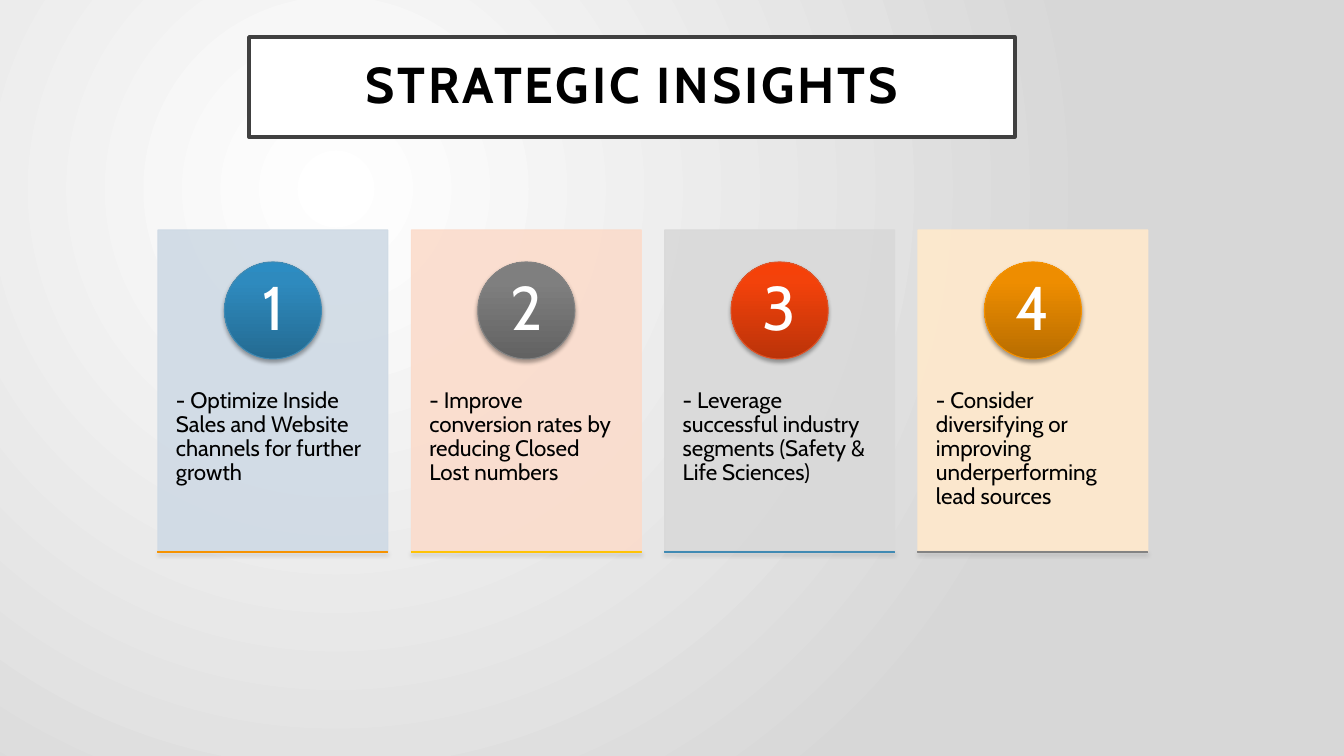
"""Build the Strategic Insights slide with four numbered cards."""
from dataclasses import dataclass

from lxml import etree
from pptx import Presentation
from pptx.dml.color import RGBColor
from pptx.enum.shapes import MSO_SHAPE
from pptx.enum.text import MSO_ANCHOR, PP_ALIGN
from pptx.oxml import parse_xml
from pptx.oxml.ns import nsdecls, qn
from pptx.util import Emu, Pt

RECTANGLE, OVAL = MSO_SHAPE.RECTANGLE, MSO_SHAPE.OVAL
TOP, MIDDLE = MSO_ANCHOR.TOP, MSO_ANCHOR.MIDDLE
LEFT, CENTER = PP_ALIGN.LEFT, PP_ALIGN.CENTER

TITLE = "STRATEGIC INSIGHTS"
CARDS = [
    ("- Optimize Inside Sales and Website channels for further growth", "CFDAE5", "blue", "orange"),
    ("- Improve conversion rates by reducing Closed Lost numbers", "FBDCCC", "gray", "yellow"),
    ("- Leverage successful industry segments (Safety & Life Sciences)", "D9D9D9", "red", "blue"),
    ("- Consider diversifying or improving underperforming lead sources", "FFE9CC", "orange", "gray"),
]
ACCENTS = {
    "blue": ("246B92", "2E8ABE", "2C8CC2", "418AB3"),
    "gray": ("626262", "7F7F7F", "808080", "838383"),
    "red": ("BB3309", "F3420B", "F84007", "DF5327"),
    "orange": ("B86D00", "EE8D00", "EF8E00", "F69200"),
    "yellow": ("C29400", "FCC000", "FDC100", "FEC306"),
}


@dataclass(frozen=True)
class Theme:
    font: str = "Cabin"
    black: str = "000000"
    white: str = "FFFFFF"
    frame: str = "404040"
    background_edge: str = "D7D7D7"
    title_size: int = 36
    number_size: int = 44
    body_size: int = 16
    frame_width: float = 2.5
    thin_width: float = 0.75
    card_alpha: int = 90


THEME = Theme()
PX = 914400 / 100.8
SLIDE_WIDTH, SLIDE_HEIGHT = 1344, 756
TITLE_BOX = (249, 37, 766, 100)
CARD_LEFT, CARD_TOP, CARD_WIDTH, CARD_HEIGHT = 158, 230, 230, 322
CARD_SPAN = 760
BODY_TOP, BODY_HEIGHT = 353, 194
CIRCLE_TOP, CIRCLE_SIZE = 262, 97
NUMBER_INSET = 14


def px(value):
    return Emu(round(value * PX))


def gradient(parent, stops, direction):
    """Replace the solid fill of a parent element with a gradient."""
    marks = "".join(
        f'<a:gs pos="{position * 1000}"><a:srgbClr val="{color}"/></a:gs>'
        for position, color in stops
    )
    fill = parse_xml(
        f'<a:gradFill {nsdecls("a")} rotWithShape="1"><a:gsLst>{marks}</a:gsLst>{direction}</a:gradFill>'
    )
    parent.replace(parent.find(qn("a:solidFill")), fill)


def add_box(slide, kind, box, fill, line, width):
    shape = slide.shapes.add_shape(kind, *map(px, box))
    shape.shadow.inherit = False
    shape.fill.solid()
    shape.fill.fore_color.rgb = RGBColor.from_string(fill)
    shape.line.color.rgb = RGBColor.from_string(line)
    shape.line.width = Pt(width)
    return shape


def add_accent(slide, kind, box, accent):
    """Add a shaded shape with a soft shadow below it."""
    dark, middle, light, line = ACCENTS[accent]
    shape = add_box(slide, kind, box, middle, line, THEME.thin_width)
    properties = shape._element.spPr
    gradient(properties, [(0, dark), (80, middle), (100, light)], '<a:lin ang="16200000" scaled="0"/>')
    properties.find(qn("a:effectLst")).append(parse_xml(
        f'<a:outerShdw {nsdecls("a")} blurRad="{Pt(3.1)}" dist="{Pt(1.8)}" dir="5400000" rotWithShape="0">'
        f'<a:srgbClr val="{THEME.black}"><a:alpha val="35000"/></a:srgbClr></a:outerShdw>'
    ))


def set_text(shape, text, size, color, insets, anchor, align):
    frame = shape.text_frame
    frame.text = text
    frame.word_wrap = True
    frame.vertical_anchor = anchor
    frame.margin_left = frame.margin_right = px(insets[0])
    frame.margin_top = frame.margin_bottom = px(insets[1])
    paragraph = frame.paragraphs[0]
    paragraph.alignment = align
    paragraph.line_spacing = 0.9
    font = paragraph.runs[0].font
    font.name = THEME.font
    font.size = Pt(size)
    font.color.rgb = RGBColor.from_string(color)
    return font


def add_card(slide, index, card):
    text, tint, circle_accent, rule_accent = card
    left = CARD_LEFT + index * CARD_SPAN / (len(CARDS) - 1)
    panel = add_box(slide, RECTANGLE, (left, CARD_TOP, CARD_WIDTH, CARD_HEIGHT),
                    tint, tint, THEME.thin_width)
    for color in panel._element.spPr.iter(qn("a:srgbClr")):
        etree.SubElement(color, qn("a:alpha")).set("val", str(THEME.card_alpha * 1000))

    body = slide.shapes.add_textbox(*map(px, (left, BODY_TOP, CARD_WIDTH, BODY_HEIGHT)))
    set_text(body, text, THEME.body_size, THEME.black, (18, 36), TOP, LEFT)

    circle_left = left + (CARD_WIDTH - CIRCLE_SIZE) / 2
    add_accent(slide, OVAL, (circle_left, CIRCLE_TOP, CIRCLE_SIZE, CIRCLE_SIZE), circle_accent)
    number_size = CIRCLE_SIZE - 2 * NUMBER_INSET
    number = slide.shapes.add_textbox(*map(px, (
        circle_left + NUMBER_INSET, CIRCLE_TOP + NUMBER_INSET, number_size, number_size)))
    set_text(number, str(index + 1), THEME.number_size, THEME.white, (7, 1), MIDDLE, CENTER)

    add_accent(slide, RECTANGLE, (left, CARD_TOP + CARD_HEIGHT, CARD_WIDTH, 0), rule_accent)


def main():
    presentation = Presentation()
    presentation.slide_width, presentation.slide_height = px(SLIDE_WIDTH), px(SLIDE_HEIGHT)
    slide = presentation.slides.add_slide(presentation.slide_layouts[6])

    slide.background.fill.solid()
    slide.background.fill.fore_color.rgb = RGBColor.from_string(THEME.white)
    gradient(slide._element.cSld.find(qn("p:bg")).find(qn("p:bgPr")),
             [(0, THEME.white), (100, THEME.background_edge)],
             '<a:path path="circle"><a:fillToRect l="50000" t="50000" r="100000" b="100000"/></a:path>')

    title = add_box(slide, RECTANGLE, TITLE_BOX, THEME.white, THEME.frame, THEME.frame_width)
    font = set_text(title, TITLE, THEME.title_size, THEME.black, (20, 20), MIDDLE, CENTER)
    font.bold = True
    font._element.set("spc", "200")

    for index, card in enumerate(CARDS):
        add_card(slide, index, card)
    presentation.save("out.pptx")


if __name__ == "__main__":
    main()
